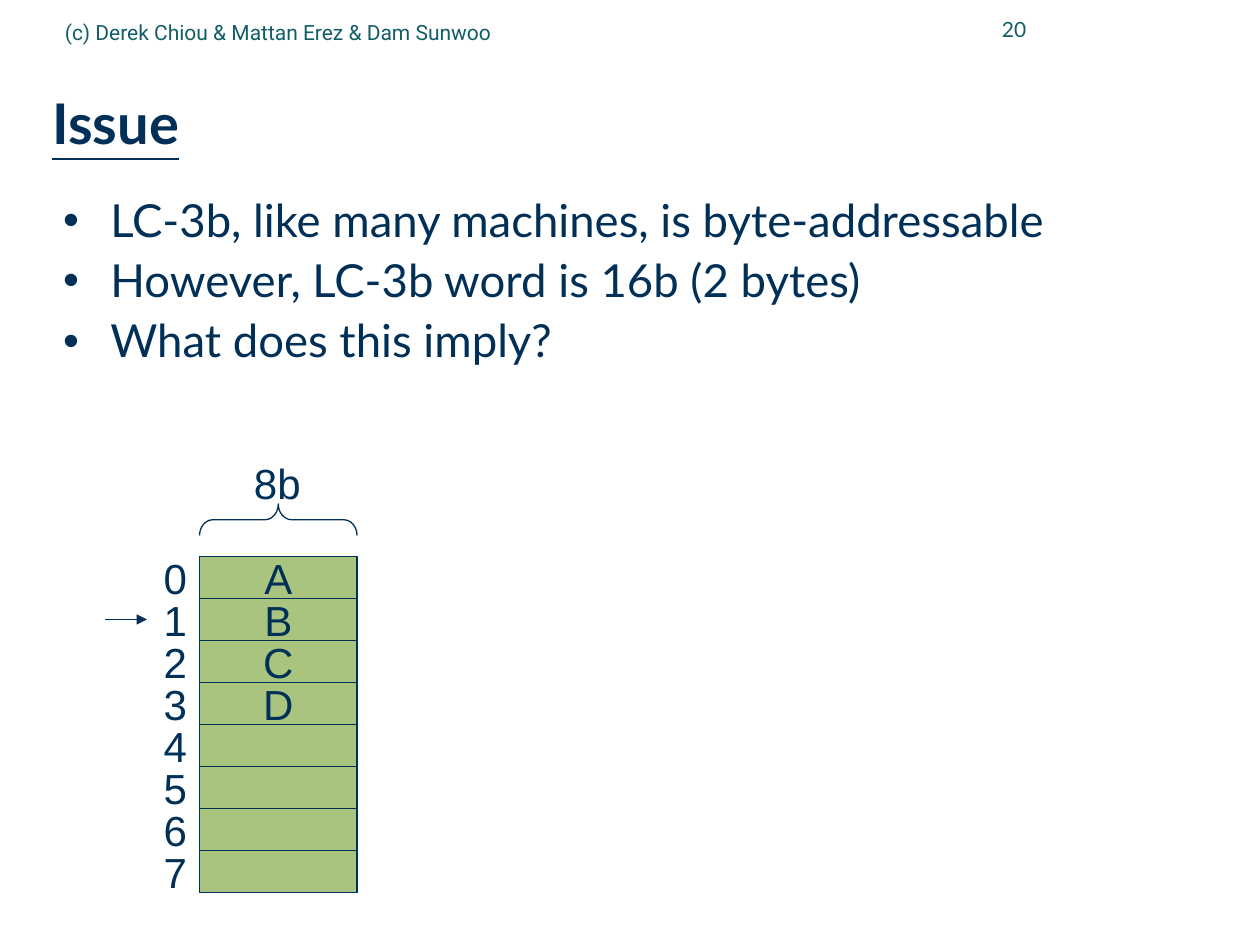
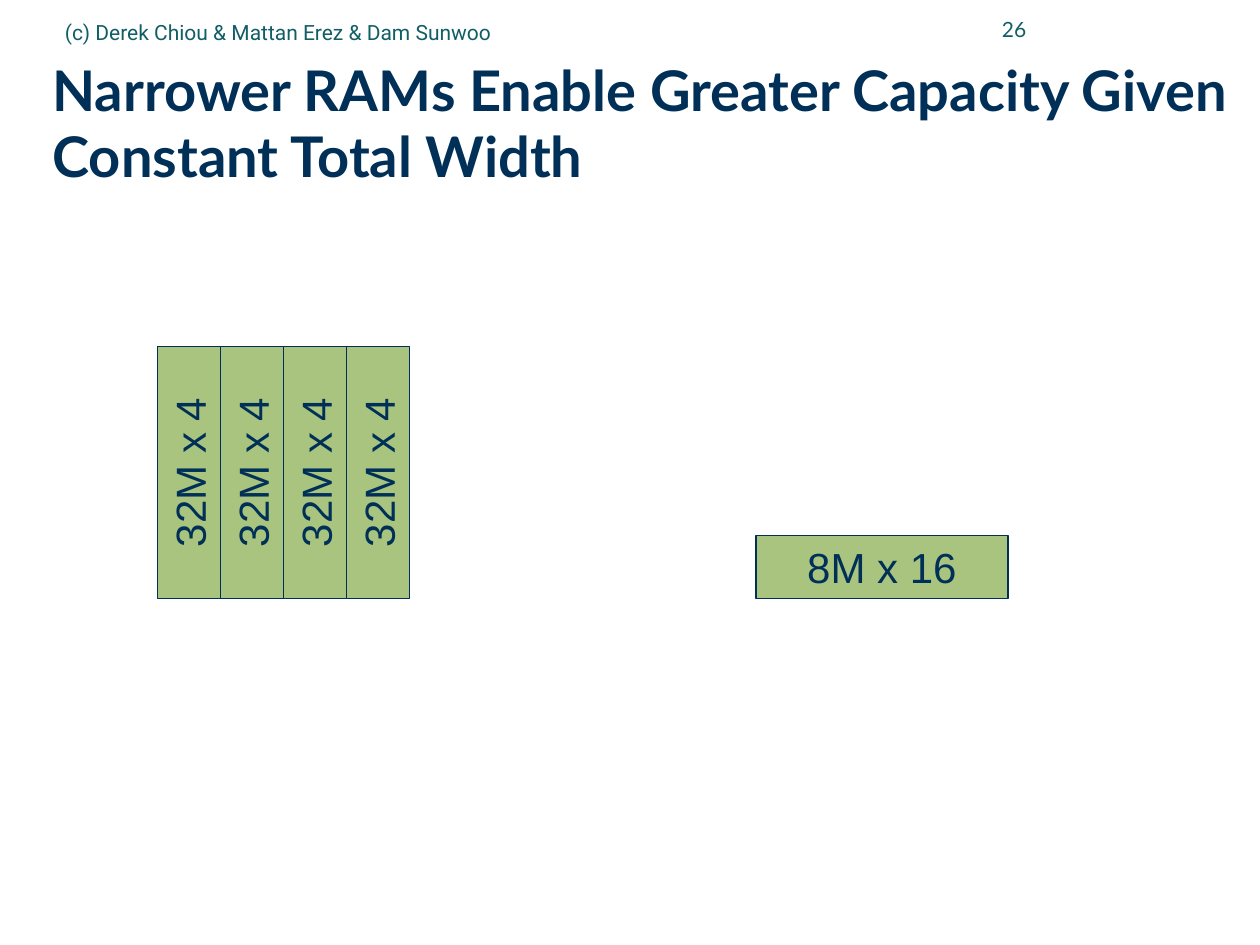
import pptx
import pptx.dml.color
import pptx.enum.dml
import pptx.enum.shapes
import pptx.enum.text
import pptx.oxml
import pptx.oxml.ns
import pptx.util
from lxml import etree

Pt = pptx.util.Pt
Align = pptx.enum.text.PP_ALIGN
Anchor = pptx.enum.text.MSO_ANCHOR
Preset = pptx.enum.shapes.MSO_SHAPE


class Theme:
    """Colours, type styles and line width shared by the slides."""

    navy = pptx.dml.color.RGBColor.from_string("003057")
    teal = pptx.dml.color.RGBColor.from_string("115E67")
    green = pptx.dml.color.RGBColor.from_string("A9C47F")
    line_width = Pt(0.75)
    title = {"name": "Lato", "size": Pt(32), "bold": True}
    body = {"name": "Lato", "size": Pt(26)}
    diagram = {"name": "Arial", "size": Pt(24)}
    credit = {"name": "Roboto", "size": Pt(12)}
    page_number = {"name": "Lato", "size": Pt(12)}


CREDIT = "(c) Derek Chiou & Mattan Erez & Dam Sunwoo"
NO_MARGINS = dict.fromkeys(("margin_left", "margin_top", "margin_right", "margin_bottom"), 0)


def apply_format(target, values):
    """Set every named attribute of the target."""
    for name, value in values.items():
        setattr(target, name, value)


def write_text(shape, lines, style, colour=Theme.navy, paragraph_format=None, frame_format=None):
    """Write one paragraph per line in the given style and return the paragraphs."""
    frame = shape.text_frame
    frame.text = "\n".join(lines)
    apply_format(frame, {"word_wrap": True, "auto_size": pptx.enum.text.MSO_AUTO_SIZE.NONE,
                         "vertical_anchor": Anchor.MIDDLE, **(frame_format or {})})
    for paragraph in frame.paragraphs:
        apply_format(paragraph, paragraph_format or {})
        for run in paragraph.runs:
            apply_format(run.font, style)
            run.font.color.rgb = colour
    return frame.paragraphs


def add_text(slide, box, lines, style, **formats):
    """Add a text box at (left, top, width, height) in points."""
    shape = slide.shapes.add_textbox(*map(Pt, box))
    return write_text(shape, lines, style, **formats)


def add_diagram_text(slide, box, text, alignment):
    """Add an unwrapped diagram label."""
    add_text(slide, box, [text], Theme.diagram,
             paragraph_format={"alignment": alignment}, frame_format={"word_wrap": False})


def set_line(line):
    """Give an outline the shared colour and width."""
    line.color.rgb = Theme.navy
    line.width = Theme.line_width


def add_cell(slide, box, text="", rotation=0):
    """Add a green outlined rectangle with an optional centred label."""
    cell = slide.shapes.add_shape(Preset.RECTANGLE, *map(Pt, box))
    cell.shadow.inherit = False
    cell.rotation = rotation
    cell.fill.solid()
    cell.fill.fore_color.rgb = Theme.green
    set_line(cell.line)
    if text:
        write_text(cell, [text], Theme.diagram, paragraph_format={"alignment": Align.CENTER},
                   frame_format={"word_wrap": False})


def add_brace(slide, box):
    """Add a brace that fills the box and points upwards."""
    left, top, width, height = box
    offset = (width - height) / 2
    brace = slide.shapes.add_shape(Preset.LEFT_BRACE, Pt(left + offset), Pt(top - offset),
                                   Pt(height), Pt(width))
    brace.shadow.inherit = False
    brace.rotation = 90
    brace.adjustments[0] = 0.42
    brace.fill.background()
    set_line(brace.line)


def add_arrow(slide, left, top, length):
    """Add a horizontal arrow that points right."""
    arrow = slide.shapes.add_connector(pptx.enum.shapes.MSO_CONNECTOR.STRAIGHT,
                                       Pt(left), Pt(top), Pt(left + length), Pt(top))
    set_line(arrow.line)
    line_element = arrow.line.fill._xPr
    etree.SubElement(line_element, pptx.oxml.ns.qn("a:tailEnd"), type="triangle")
    etree.SubElement(line_element.getparent(), pptx.oxml.ns.qn("a:effectLst"))


def add_bullets(slide, box, lines):
    """Add the body text as a bulleted list."""
    paragraphs = add_text(
        slide, box, lines, Theme.body,
        paragraph_format={"line_spacing": 0.9, "space_before": Pt(6.5)},
        frame_format={"vertical_anchor": Anchor.TOP, **NO_MARGINS})
    for paragraph in paragraphs:
        properties = paragraph._p.get_or_add_pPr()
        properties.set("marL", str(Pt(27)))
        properties.set("indent", str(Pt(-27)))
        colour = etree.SubElement(properties, pptx.oxml.ns.qn("a:buClr"))
        etree.SubElement(colour, pptx.oxml.ns.qn("a:srgbClr"), val=str(Theme.navy))
        etree.SubElement(properties, pptx.oxml.ns.qn("a:buFont"), typeface="Arial")
        etree.SubElement(properties, pptx.oxml.ns.qn("a:buChar"), char="•")


def add_memory(slide, box, values, row_count, pointed_row):
    """Draw a byte-wide memory with addresses, a width brace and a row pointer."""
    left, top, width, height = box
    row_height = 24
    cell_width = 90
    cell_left = left + width - cell_width
    rows_top = top + height - row_count * row_height
    for row in range(row_count):
        row_top = rows_top + row * row_height
        text = values[row] if row < len(values) else ""
        add_cell(slide, (cell_left, row_top, cell_width, row_height), text)
        add_diagram_text(slide, (cell_left - 42, row_top, 42, row_height), str(row), Align.RIGHT)
    add_brace(slide, (cell_left, top + 30, cell_width, 18))
    add_diagram_text(slide, (cell_left + 24, top, 41, 36), "8b", Align.CENTER)
    add_arrow(slide, left, rows_top + (pointed_row + 0.5) * row_height, 24)


def add_memory_bank(slide, box, text, count):
    """Fill the box with equal upright chips whose labels read upwards."""
    left, top, width, height = box
    chip_width = width / count
    offset = (height - chip_width) / 2
    for index in range(count):
        chip_left = left + index * chip_width
        add_cell(slide, (chip_left - offset, top + offset, height, chip_width), text, 270)


def add_titled_slide(presentation, title, number, underline=None):
    """Add a slide with the shared title, credit and page number."""
    slide = presentation.slides.add_slide(presentation.slide_layouts.get_by_name("Title Only"))
    placeholder = slide.shapes.title
    position = zip(("left", "top", "width", "height"), map(Pt, (30, 36, 677.5, 70.5)))
    apply_format(placeholder, dict(position))
    write_text(placeholder, [title], {**Theme.title, "underline": underline},
               paragraph_format={"alignment": Align.LEFT, "line_spacing": 0.99},
               frame_format=NO_MARGINS)
    add_text(slide, (528, -1.5, 65.5, 36), [str(number)], Theme.page_number, colour=Theme.teal,
             paragraph_format={"alignment": Align.RIGHT})
    add_text(slide, (30, 2, 408, 33), [CREDIT], Theme.credit, colour=Theme.teal)
    return slide


def build_issue_slide(presentation):
    """Build the slide on byte addressing."""
    slide = add_titled_slide(presentation, "Issue", 20, underline=True)
    add_bullets(slide, (36, 113, 672, 425), [
        "LC-3b, like many machines, is byte-addressable",
        "However, LC-3b word is 16b (2 bytes)",
        "What does this imply?",
    ])
    add_memory(slide, (60, 258, 144, 252), "ABCD", row_count=8, pointed_row=1)


def build_capacity_slide(presentation):
    """Build the slide that compares narrow and wide memories."""
    slide = add_titled_slide(
        presentation, "Narrower RAMs Enable Greater Capacity Given Constant Total Width", 26)
    add_cell(slide, (432, 306, 144, 36), "8M x 16")
    add_memory_bank(slide, (90, 198, 144, 144), "32M x 4", count=4)


def main():
    """Build and save the presentation."""
    presentation = pptx.Presentation()
    apply_format(presentation, {"slide_width": Pt(720), "slide_height": Pt(540)})
    build_issue_slide(presentation)
    build_capacity_slide(presentation)
    presentation.save("out.pptx")


if __name__ == "__main__":
    main()
